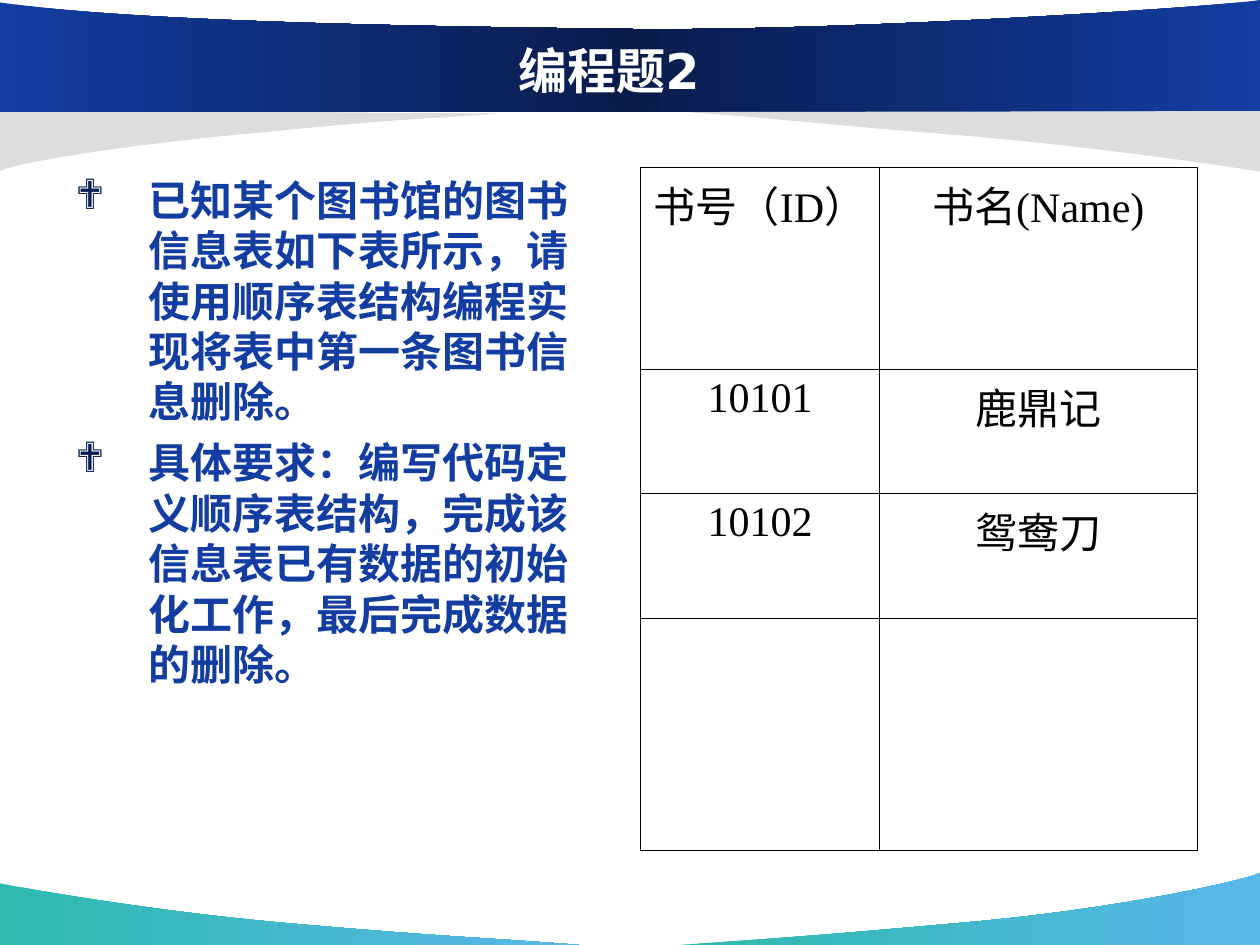
from dataclasses import dataclass

from lxml import etree
from pptx import Presentation
from pptx import util as u
from pptx.dml.color import RGBColor
from pptx.enum import text
from pptx.oxml import ns


@dataclass(frozen=True)
class Theme:
    """Colours, fonts and type sizes of the slide."""
    blue: str = "143DA2"
    navy: str = "091C4B"
    bullet: str = "091E51"
    teal: str = "2EBAAD"
    sky: str = "5AB7EA"
    grey: str = "DDDDDD"
    white: str = "FFFFFF"
    black: str = "000000"
    sans: str = "DejaVu Sans"
    serif: str = "Times New Roman"
    symbols: str = "Wingdings"
    title_size: float = 28
    text_size: float = 24
    border: float = 0.45


THEME = Theme()

WAVES = [
    ((0, 17.81), (THEME.teal, THEME.sky),
     [(11.68, 1.24), (9.75, 1.09), (9.09, 1.09), (5.89, 0.81), (2.69, 0.53), (0.03, 0), (0, 0)],
     [(0, 1.24)]),
    ((13.69, 17.6), (THEME.teal, THEME.sky),
     [(0, 1.45), (1.91, 1.32), (2.72, 1.27), (5.84, 0.99), (8.97, 0.71), (11.46, 0.13), (11.71, 0)],
     [(11.71, 1.45)]),
    ((0, 2.21), (THEME.grey,),
     [(10.11, 0.08), (8.41, 0.2), (8.08, 0.18), (5.28, 0.46), (2.46, 0.71), (0.23, 1.09), (0, 1.24)],
     [(0, 0)]),
    ((0, 0), (THEME.blue, THEME.navy, THEME.blue),
     [(25.4, 0), (24.49, 0.15), (16.59, 0.66), (12.37, 0.58), (8.15, 0.53), (2.57, 0.43), (0, 0.05)],
     [(0, 2.26), (25.4, 2.24)]),
    ((13.82, 2.24), (THEME.grey,),
     [(0, 0.02), (1.93, 0.15), (2.49, 0.25), (5.69, 0.5), (8.89, 0.78), (11.56, 1.22), (11.58, 1.22)],
     [(11.58, 0)]),
]

TASKS = [
    "已知某个图书馆的图书信息表如下表所示，请使用顺序表结构编程实现将表中第一条图书信息删除。",
    "具体要求：编写代码定义顺序表结构，完成该信息表已有数据的初始化工作，最后完成数据的删除。",
]

BOOKS = [("书号（ID）", "书名(Name)"), ("10101", "鹿鼎记"), ("10102", "鸳鸯刀"), ("", "")]


def add_node(parent, tag, **attributes):
    """Append a drawing element to a parent and return it."""
    return etree.SubElement(parent, ns.qn(tag), attributes)


def style(para, font, size, colour, bold=False):
    """Set the font of a whole paragraph."""
    para.font.name = font
    para.font.size = u.Pt(size)
    para.font.bold = bold
    para.font.color.rgb = RGBColor.from_string(colour)


def indent(para, hanging):
    """Give a paragraph a hanging indent in centimetres."""
    properties = para._p.get_or_add_pPr()
    properties.set("marL", str(u.Cm(hanging)))
    properties.set("indent", str(-u.Cm(hanging)))
    return properties


def bend(shape):
    """Turn the first six straight segments into two cubic curves."""
    lines = shape._element.findall(".//" + ns.qn("a:lnTo"))
    for group in (lines[:3], lines[3:6]):
        curve = etree.Element(ns.qn("a:cubicBezTo"))
        group[0].addprevious(curve)
        for line in group:
            curve.append(line[0])
            line.getparent().remove(line)


def paint(shape, colours):
    """Fill a shape with one colour or an even horizontal gradient."""
    if len(colours) == 1:
        shape.fill.solid()
        shape.fill.fore_color.rgb = RGBColor.from_string(colours[0])
        return
    shape.fill.gradient()
    shape.fill.gradient_angle = 0
    stops = shape._element.spPr.find(".//" + ns.qn("a:gsLst"))
    for stop in list(stops):
        stops.remove(stop)
    for index, colour in enumerate(colours):
        stop = add_node(stops, "a:gs", pos=str(100000 * index // (len(colours) - 1)))
        add_node(stop, "a:srgbClr", val=colour)


def add_wave(page, origin, colours, curve, corners):
    """Draw an outline of two joined curves closed through its corners."""
    points = [(u.Cm(origin[0] + x), u.Cm(origin[1] + y)) for x, y in curve + corners]
    builder = page.shapes.build_freeform(*points[0])
    builder.add_line_segments(points[1:], close=True)
    wave = builder.convert_to_shape()
    bend(wave)
    wave.shadow.inherit = False
    wave.line.fill.background()
    paint(wave, colours)


def place_title(page, box, words):
    """Move the title into its box, in front of the waves."""
    title = page.shapes.title
    title.element.getparent().append(title.element)
    title.left, title.top, title.width, title.height = (u.Cm(n) for n in box)
    frame = title.text_frame
    frame.text = words
    frame.auto_size = text.MSO_AUTO_SIZE.NONE
    frame.vertical_anchor = text.MSO_ANCHOR.MIDDLE
    para = frame.paragraphs[0]
    para.alignment = text.PP_ALIGN.CENTER
    style(para, THEME.sans, THEME.title_size, THEME.white, bold=True)


def add_tasks(page, box, tasks):
    """Write the bulleted tasks in a box."""
    frame = page.shapes.add_textbox(*(u.Cm(n) for n in box)).text_frame
    frame.word_wrap = True
    for index, task in enumerate(tasks):
        para = frame.add_paragraph() if index else frame.paragraphs[0]
        para.text = task
        if index:
            para.space_before = u.Pt(6)
        properties = indent(para, 1.48)
        add_node(add_node(properties, "a:buClr"), "a:srgbClr", val=THEME.bullet)
        add_node(properties, "a:buFont", typeface=THEME.symbols)
        add_node(properties, "a:buChar", char="❖")
        style(para, THEME.sans, THEME.text_size, THEME.blue, bold=True)


def format_cell(cell, words):
    """Write a cell with thin borders and no fill."""
    properties = cell._tc.get_or_add_tcPr()
    for side in ("a:lnL", "a:lnR", "a:lnT", "a:lnB"):
        line = add_node(properties, side, w=str(u.Pt(THEME.border)))
        add_node(add_node(line, "a:solidFill"), "a:srgbClr", val=THEME.black)
    cell.fill.background()
    if not words:
        return
    para = cell.text_frame.paragraphs[0]
    para.text = words
    para.alignment = text.PP_ALIGN.CENTER
    indent(para, 0.95)
    style(para, THEME.serif, THEME.text_size, THEME.black)


def add_books(page, box, rows):
    """Place the book table, its grid in shares of the box."""
    left, top, width, height = box
    table = page.shapes.add_table(len(rows), len(rows[0]), *(u.Cm(n) for n in box)).table
    table.first_row = table.horz_banding = False
    for column, share in zip(table.columns, (0.43, 0.57)):
        column.width = u.Cm(width * share)
    for row, share, words in zip(table.rows, (0.295, 0.182, 0.183, 0.34), rows):
        row.height = u.Cm(height * share)
        for cell, word in zip(row.cells, words):
            format_cell(cell, word)


def main():
    """Build and save the deck."""
    deck = Presentation()
    deck.slide_width, deck.slide_height = u.Cm(25.4), u.Cm(19.05)
    page = deck.slides.add_slide(deck.slide_layouts[5])
    for wave in WAVES:
        add_wave(page, *wave)
    place_title(page, (2.33, 0.62, 19.89, 1.57), "编程题2")
    add_tasks(page, (1.27, 3.39, 11.22, 13.76), TASKS)
    add_books(page, (12.91, 3.38, 11.22, 13.76), BOOKS)
    deck.save("out.pptx")


if __name__ == "__main__":
    main()
